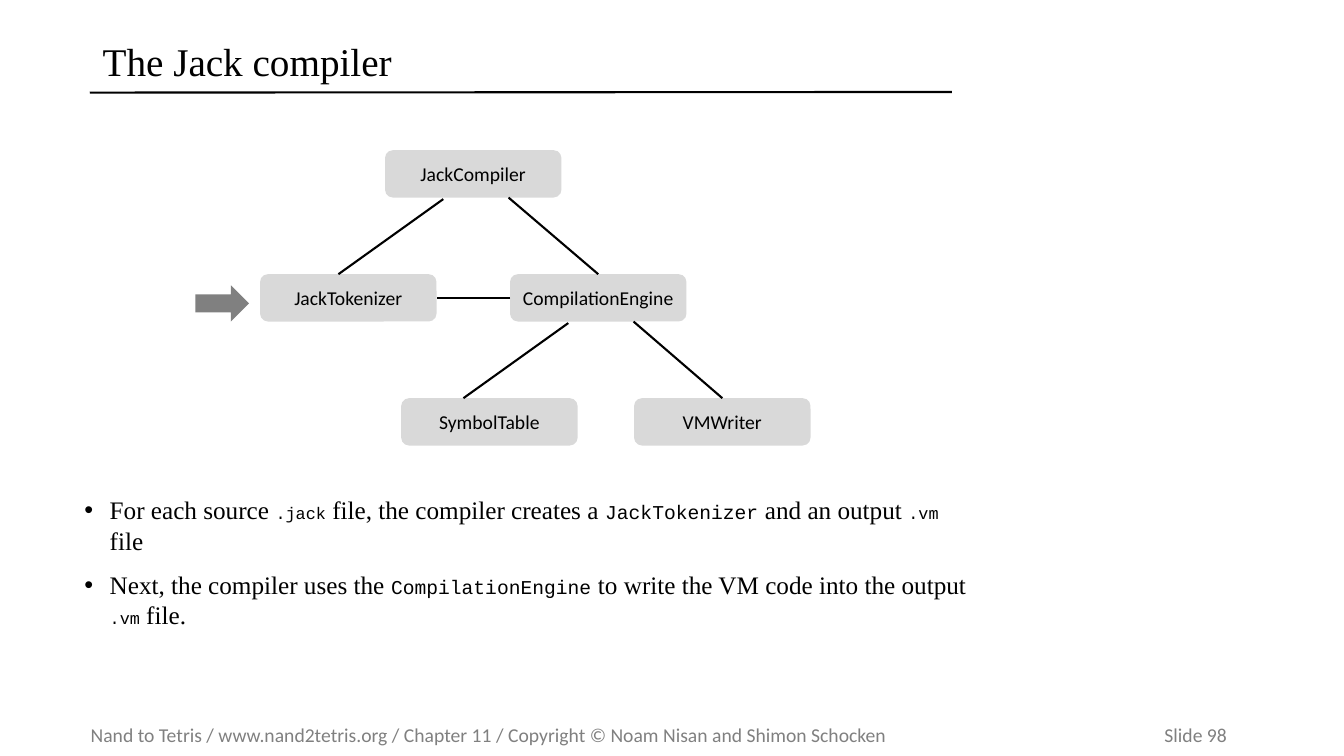
import pptx
import pptx.util
import pptx.dml.color
import pptx.enum.shapes
import pptx.enum.text
import pptx.oxml.ns
import lxml.etree

W, H = pptx.util.Inches(13.33), pptx.util.Inches(7.5)
COL, ROW = W / 100, H / 100
COLORS = {"ink": "000000", "node": "D9D9D9", "muted": "808080"}
SERIF, SANS, MONO = "Times New Roman", "Calibri", "Courier New"
SHAPE = pptx.enum.shapes.MSO_SHAPE
ALIGN = pptx.enum.text.PP_ALIGN
MIDDLE = pptx.enum.text.MSO_ANCHOR.MIDDLE
BOTTOM_SIDE, TOP_SIDE, LEFT_SIDE, RIGHT_SIDE = 2, 0, 1, 3

NODE_W, NODE_H, LEVEL_H = 13.13, 6.27, 16.4
MODULES = {
    "JackCompiler": (14.1, 0),
    "JackTokenizer": (4.8, 1),
    "CompilationEngine": (23.4, 1),
    "SymbolTable": (15.3, 2),
    "VMWriter": (32.63, 2),
}
FORKS = [("JackCompiler", "CompilationEngine"), ("CompilationEngine", "VMWriter")]
BULLETS = [
    [("For each source ", SERIF, 18), (".jack", MONO, 12),
     (" file, the compiler creates a ", SERIF, 18), ("JackTokenizer", MONO, 14),
     (" and an output ", SERIF, 18), (".vm", MONO, 12), (" file", SERIF, 18)],
    [("Next, the compiler uses the ", SERIF, 18), ("CompilationEngine", MONO, 14),
     (" to write the VM code into the output ", SERIF, 18), (".vm", MONO, 12),
     (" file.", SERIF, 18)],
]


def grid(x, y, w, h):
    """Turn columns and rows of the slide grid into a box of lengths."""
    return round(x * COL), round(y * ROW), round(w * COL), round(h * ROW)


def rgb(name):
    """Look up a named colour."""
    return pptx.dml.color.RGBColor.from_string(COLORS[name])


def add_child(parent, tag, **attrs):
    """Append a drawing element with the given attributes."""
    child = lxml.etree.SubElement(parent, pptx.oxml.ns.qn(tag))
    for key, value in attrs.items():
        child.set(key, str(value))
    return child


def style(p, name, size, color):
    """Set the font of a whole paragraph."""
    p.font.name, p.font.size = name, pptx.util.Pt(size)
    p.font.color.rgb = rgb(color)


def add_text(s, box):
    """Add a wrapping text box and return its text frame."""
    tf = s.shapes.add_textbox(*box).text_frame
    tf.word_wrap = True
    return tf


def add_line(s, x1, y1, x2, y2):
    """Draw a plain black line."""
    line = s.shapes.add_connector(
        pptx.enum.shapes.MSO_CONNECTOR.STRAIGHT, *map(round, (x1, y1, x2, y2)))
    line.line.color.rgb = rgb("ink")
    line.line.width = pptx.util.Pt(1.5)
    add_child(line._element.spPr, "a:effectLst")
    return line


def add_filled(s, kind, box, color):
    """Add a flat preset shape without an outline."""
    sp = s.shapes.add_shape(kind, *box)
    sp.shadow.inherit = False
    sp.fill.solid()
    sp.fill.fore_color.rgb = rgb(color)
    sp.line.fill.background()
    return sp


def add_title(s, box):
    """Place the slide title and the rule below it."""
    x, y, w, h = box
    tf = add_text(s, box)
    tf.vertical_anchor = MIDDLE
    p = tf.paragraphs[0]
    p.text, p.line_spacing = "The Jack compiler", 0.9
    style(p, SERIF, 28, "ink")
    add_line(s, x - 0.22 * COL, y + 0.95 * h, x + w - 0.08 * COL, y + 0.94 * h)


def add_diagram(s, box):
    """Place the module tree with its links and the pointer arrow."""
    left, top = box[:2]
    nodes = {}
    for name, (col, level) in MODULES.items():
        x, y, w, h = grid(col, level * LEVEL_H, NODE_W, NODE_H)
        sp = add_filled(s, SHAPE.ROUNDED_RECTANGLE, (left + x, top + y, w, h), "node")
        sp.text_frame.vertical_anchor = MIDDLE
        p = sp.text_frame.paragraphs[0]
        p.text, p.alignment = name, ALIGN.CENTER
        style(p, SANS, 14, "ink")
        nodes[name] = sp
    for parent, right_child in FORKS:
        sp, child = nodes[parent], nodes[right_child]
        start = sp.left + 0.33 * sp.width
        bottom = sp.top + sp.height
        add_line(s, start, bottom + 0.2 * ROW, start - 7.8 * COL, child.top)
        line = add_line(s, sp.left + 0.7 * sp.width, bottom, child.left, child.top)
        line.end_connect(child, TOP_SIDE)
    link = add_line(s, left, top, left, top)
    link.begin_connect(nodes["CompilationEngine"], LEFT_SIDE)
    link.end_connect(nodes["JackTokenizer"], RIGHT_SIDE)
    x, y, w, h = grid(0, 17.87, 3.98, 4.8)
    add_filled(s, SHAPE.RIGHT_ARROW, (left + x, top + y, w, h), "muted")


def add_bullets(s, box):
    """Place the bulleted notes with inline code words."""
    tf = add_text(s, box)
    indent = pptx.util.Inches(0.25)
    for i, parts in enumerate(BULLETS):
        p = tf.add_paragraph() if i else tf.paragraphs[0]
        if i:
            p.space_before = pptx.util.Pt(10)
        pPr = p._p.get_or_add_pPr()
        pPr.set("marL", str(indent))
        pPr.set("indent", str(-indent))
        add_child(pPr, "a:buFont", typeface="Arial")
        add_child(pPr, "a:buChar", char="•")
        p.font.color.rgb = rgb("ink")
        for text, name, size in parts:
            r = p.add_run()
            r.text = text
            r.font.name, r.font.size = name, pptx.util.Pt(size)


def add_footer(s, box):
    """Place the copyright line with the slide number at a right tab."""
    tf = add_text(s, box)
    tf.margin_left = tf.margin_right = 0
    tf.vertical_anchor = MIDDLE
    p = tf.paragraphs[0]
    p.text = ("Nand to Tetris / www.nand2tetris.org / Chapter 11 / "
              "Copyright © Noam Nisan and Shimon Schocken\tSlide 98")
    tabs = add_child(p._p.get_or_add_pPr(), "a:tabLst")
    add_child(tabs, "a:tab", pos=round(0.92 * box[2]), algn="r")
    style(p, SANS, 14, "muted")


def main():
    """Build the slide and save it."""
    prs = pptx.Presentation()
    prs.slide_width, prs.slide_height = W, H
    s = prs.slides.add_slide(prs.slide_layouts[6])
    add_footer(s, grid(6.75, 94.93, 91.9, 4.53))
    add_title(s, grid(6.9, 4.27, 64, 8.4))
    add_diagram(s, grid(14.55, 19.87, 45.76, 39.07))
    add_bullets(s, grid(5.55, 64.8, 67.5, 18.13))
    prs.save("out.pptx")


if __name__ == "__main__":
    main()
